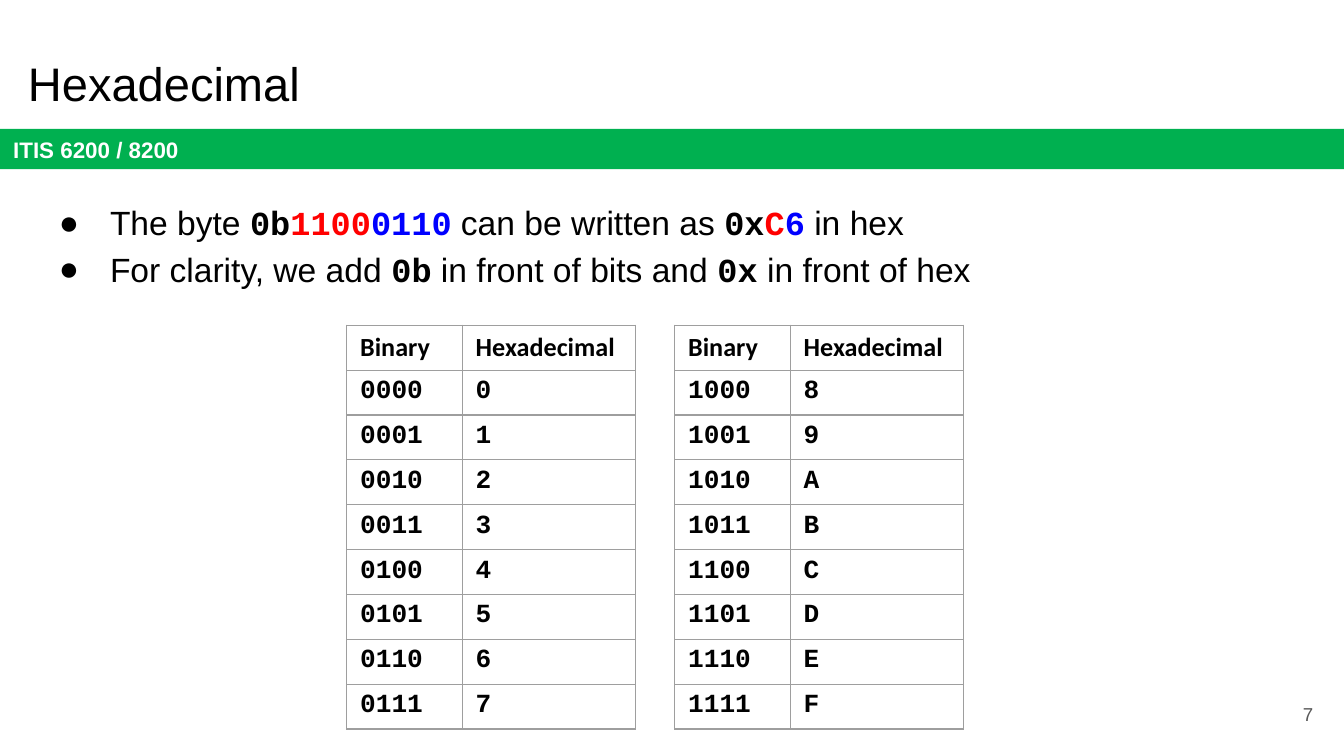
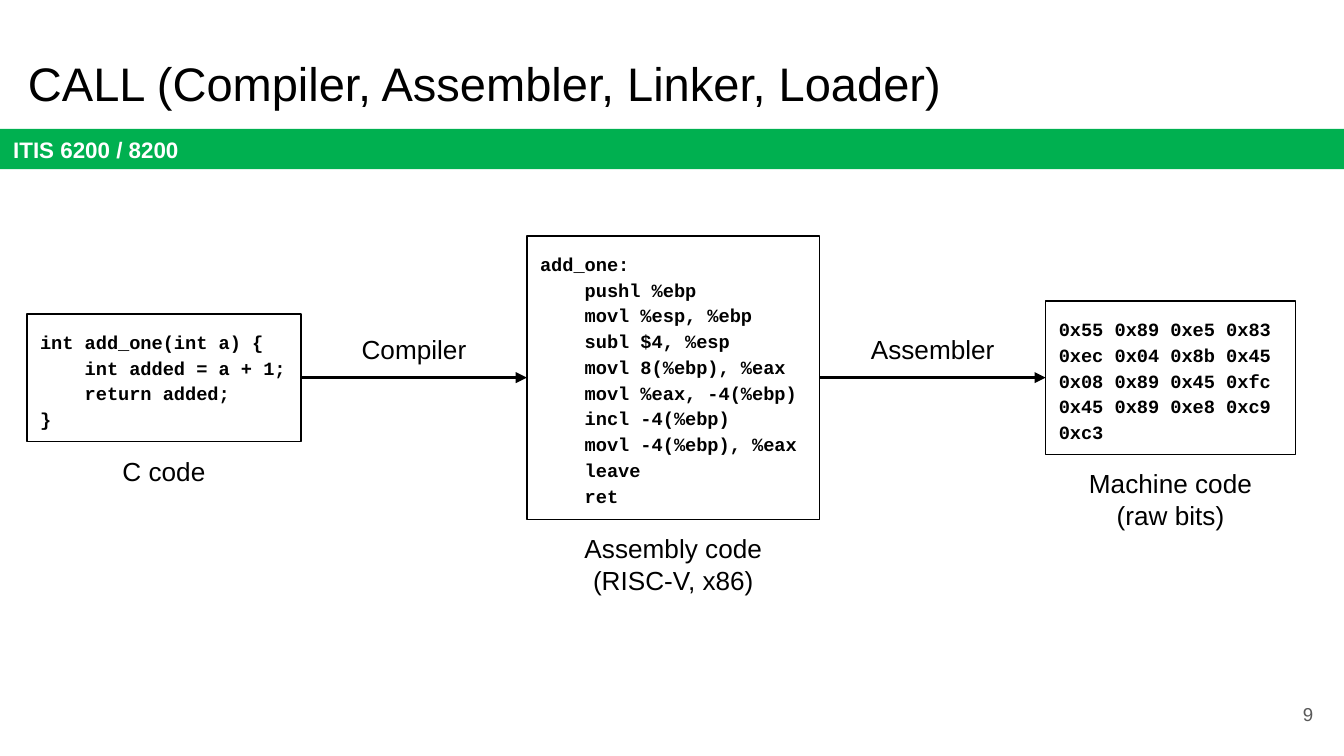
from copy import deepcopy
from lxml.etree import SubElement
from pptx import Presentation
from pptx.dml.color import RGBColor
from pptx.enum.shapes import MSO_CONNECTOR, MSO_SHAPE
from pptx.enum.text import MSO_ANCHOR, PP_ALIGN
from pptx.oxml.ns import qn
from pptx.util import Inches, Pt

BLACK = RGBColor(0, 0, 0)
WHITE = RGBColor(255, 255, 255)
GREEN = RGBColor(0x00, 0xB0, 0x50)
RED = RGBColor(255, 0, 0)
BLUE = RGBColor(0, 0, 255)
GRAY = RGBColor(0x59, 0x59, 0x59)
EDGE = RGBColor(0x9E, 0x9E, 0x9E)
SANS, MONO, HEAD = "Arial", "Courier New", "Calibri"

BULLETS = [
    [("The byte ", None), ("0b", BLACK), ("1100", RED), ("0110", BLUE),
     (" can be written as ", None), ("0x", BLACK), ("C", RED), ("6", BLUE),
     (" in hex", None)],
    [("For clarity, we add ", None), ("0b", BLACK),
     (" in front of bits and ", None), ("0x", BLACK),
     (" in front of hex", None)],
]

C_CODE = """int add_one(int a) {
    int added = a + 1;
    return added;
}"""
ASM_CODE = """add_one:
    pushl %ebp
    movl %esp, %ebp
    subl $4, %esp
    movl 8(%ebp), %eax
    movl %eax, -4(%ebp)
    incl -4(%ebp)
    movl -4(%ebp), %eax
    leave
    ret"""
RAW_CODE = ("0x55 0x89 0xe5 0x83 0xec 0x04 0x8b 0x45 0x08 0x89 0x45 0xfc "
            "0x45 0x89 0xe8 0xc9 0xc3")

# left, width, height, code, caption, caption height
STAGES = [
    (0.2, 2.04, 0.95, C_CODE, "C code", 0.44),
    (3.92, 2.18, 2.11, ASM_CODE, "Assembly code\n(RISC-V, x86)", 0.67),
    (7.78, 1.86, 1.14, RAW_CODE, "Machine code\n(raw bits)", 0.67),
]
STEPS = ["Compiler", "Assembler"]
MID = 2.81


def style(run, size, name=SANS, color=BLACK, bold=False):
    font = run.font
    font.size, font.name, font.bold = Pt(size), name, bold
    font.color.rgb = color
    for script in ("a:ea", "a:cs"):
        SubElement(font._element, qn(script), typeface=name)


def set_up(frame, anchor=MSO_ANCHOR.TOP):
    frame.word_wrap = True
    frame.vertical_anchor = anchor
    frame.margin_left = frame.margin_right = Inches(0.1)
    frame.margin_top = frame.margin_bottom = Inches(0.1)


def add_text(slide, area, text, size, align=PP_ALIGN.LEFT,
             anchor=MSO_ANCHOR.TOP, color=BLACK):
    frame = slide.shapes.add_textbox(*map(Inches, area)).text_frame
    set_up(frame, anchor)
    frame.text = text
    for para in frame.paragraphs:
        para.alignment = align
        style(para.runs[0], size, color=color)


def add_box(slide, area, fill, anchor):
    box = slide.shapes.add_shape(MSO_SHAPE.RECTANGLE, *map(Inches, area))
    box.shadow.inherit = False
    box.fill.solid()
    box.fill.fore_color.rgb = fill
    set_up(box.text_frame, anchor)
    para = box.text_frame.paragraphs[0]
    para.alignment = PP_ALIGN.LEFT
    return box, para


def add_page(deck, title, number):
    """Add a slide with the shared title, course band and page number."""
    slide = deck.slides.add_slide(deck.slide_layouts[6])
    band, para = add_box(slide, (0, 0.96, 10, 0.3), GREEN, MSO_ANCHOR.MIDDLE)
    band.line.fill.background()
    para.text = "ITIS 6200 / 8200"
    style(para.runs[0], 12, color=WHITE, bold=True)
    add_text(slide, (0.11, 0.3, 9.32, 0.63), title, 25.2,
             anchor=MSO_ANCHOR.MIDDLE)
    add_text(slide, (9.27, 5.1, 0.6, 0.43), str(number), 10,
             PP_ALIGN.RIGHT, MSO_ANCHOR.MIDDLE, GRAY)
    return slide


def add_bullets(slide, area, items):
    """Write bullets; parts with a colour are set as bold code."""
    frame = slide.shapes.add_textbox(*map(Inches, area)).text_frame
    set_up(frame)
    for i, parts in enumerate(items):
        para = frame.add_paragraph() if i else frame.paragraphs[0]
        para.line_spacing = 1.15
        props = para._p.get_or_add_pPr()
        props.set("marL", str(Inches(0.5)))
        props.set("indent", str(Inches(-0.38)))
        tint = SubElement(props, qn("a:buClr"))
        SubElement(tint, qn("a:srgbClr"), val=str(BLACK))
        SubElement(props, qn("a:buSzPts"), val="1800")
        SubElement(props, qn("a:buFont"), typeface=SANS)
        SubElement(props, qn("a:buChar"), char="●")
        for text, color in parts:
            run = para.add_run()
            run.text = text
            if color is None:
                style(run, 18)
            else:
                style(run, 18, MONO, color, True)


def add_edges(cell):
    props = cell._tc.get_or_add_tcPr()
    for side in ("lnL", "lnR", "lnT", "lnB"):
        line = SubElement(props, qn("a:" + side), w=str(Pt(0.75)))
        fill = SubElement(line, qn("a:solidFill"))
        SubElement(fill, qn("a:srgbClr"), val=str(EDGE))


def add_grid(slide, left, values):
    """Add a table that lists each value in binary and in hex."""
    rows = [("Binary", "Hexadecimal")]
    rows += [(f"{n:04b}", f"{n:X}") for n in values]
    holder = slide.shapes.add_table(
        len(rows), 2, Inches(left), Inches(2.42), Inches(2.15), Inches(3))
    table = holder.table
    table.first_row = table.horz_banding = False
    for col, width in zip(table.columns, (0.86, 1.29)):
        col.width = Inches(width)
    for r, row in enumerate(rows):
        table.rows[r].height = Inches(0.26)
        for c, text in enumerate(row):
            cell = table.cell(r, c)
            add_edges(cell)
            cell.fill.background()
            para = cell.text_frame.paragraphs[0]
            para.text = text
            run = para.runs[0]
            style(run, 14, MONO if r else HEAD, bold=True)
            end = SubElement(para._p, qn("a:endParaRPr"), sz="1400", b="1")
            for part in run.font._element:
                end.append(deepcopy(part))
    holder.height = Inches(3)


def add_code(slide, area, code):
    box, para = add_box(slide, area, WHITE, MSO_ANCHOR.TOP)
    box.line.color.rgb = BLACK
    box.line.width = Pt(0.75)
    para.line_spacing = 1.15
    para.space_after = Pt(12)
    para.text = code
    for run in para.runs:
        style(run, 10, MONO, bold=True)
    for gap in para._p.findall(qn("a:br")):
        gap.append(deepcopy(para.runs[0].font._element))


def add_arrow(slide, start, end, y):
    line = slide.shapes.add_connector(
        MSO_CONNECTOR.STRAIGHT, *map(Inches, (start, y, end, y)))
    line.line.color.rgb = BLACK
    line.line.width = Pt(1.5)
    SubElement(line.line._get_or_add_ln(), qn("a:tailEnd"), type="triangle")
    SubElement(line._element.spPr, qn("a:effectLst"))


def add_flow(slide):
    """Draw the code boxes around one middle line and join them."""
    for left, width, height, code, label, tall in STAGES:
        top = MID - height / 2
        add_code(slide, (left, top, width, height), code)
        add_text(slide, (left, top + height, width, tall), label, 14,
                 PP_ALIGN.CENTER)
    for step, prev, then in zip(STEPS, STAGES, STAGES[1:]):
        start, end = prev[0] + prev[1], then[0]
        add_arrow(slide, start, end, MID)
        add_text(slide, (start, 2.38, end - start, 0.44), step, 14,
                 PP_ALIGN.CENTER)


def main():
    deck = Presentation()
    deck.slide_width, deck.slide_height = Inches(10), Inches(10 * 9 / 16)

    slide = add_page(deck, "Hexadecimal", 7)
    add_bullets(slide, (0.22, 1.36, 9.32, 4.12), BULLETS)
    add_grid(slide, 2.58, range(8))
    add_grid(slide, 5.02, range(8, 16))

    slide = add_page(deck, "CALL (Compiler, Assembler, Linker, Loader)", 9)
    add_flow(slide)

    deck.save("out.pptx")


if __name__ == "__main__":
    main()
